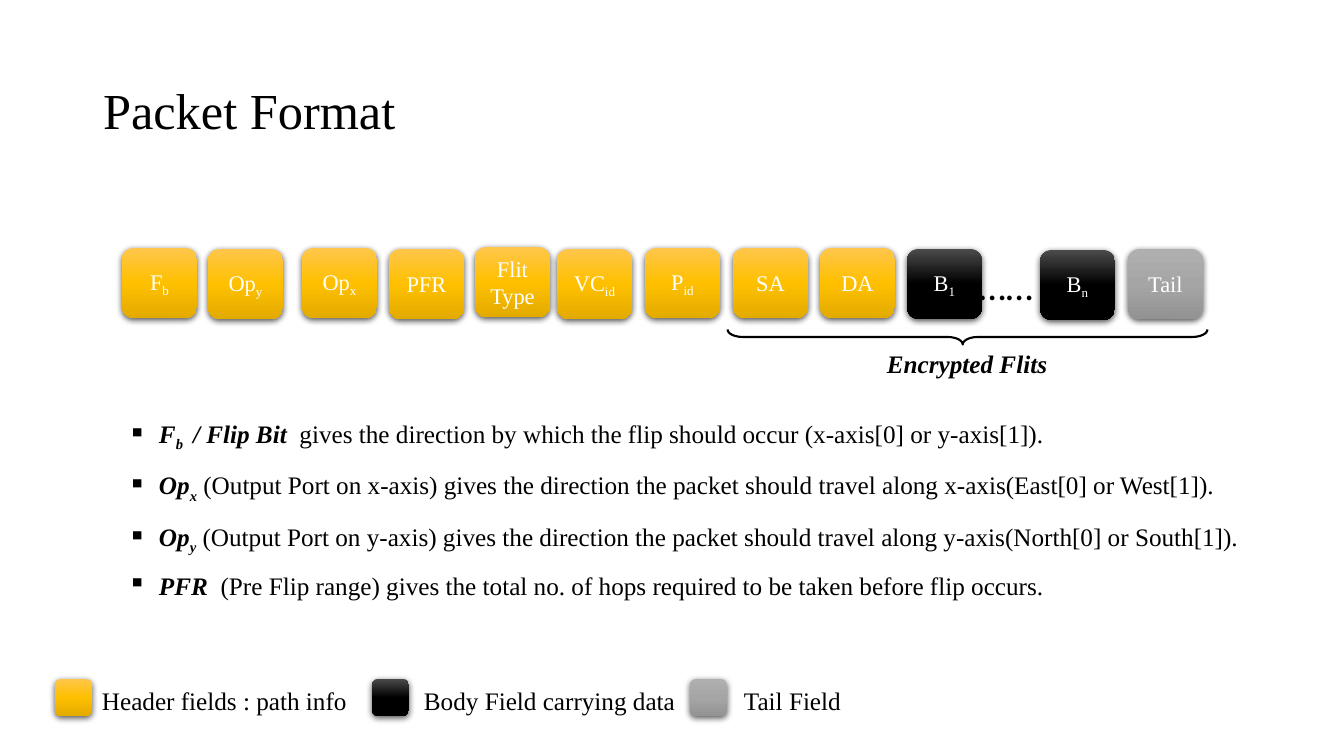
from lxml import etree
from pptx import Presentation
from pptx.dml.color import RGBColor
from pptx.enum.shapes import MSO_SHAPE as Shape
from pptx.enum.text import MSO_ANCHOR as Anchor, PP_ALIGN as Align
from pptx.oxml import parse_xml
from pptx.oxml.ns import qn
from pptx.util import Pt

# Content
TITLE = "Packet Format"
SERIF, SANS = "Times New Roman", "Calibri"
BLACK, WHITE = "000000", "FFFFFF"
GRADIENTS = {
    "header": ("FFC64B", "FFC000", "E3AB00"),
    "body": ("4B4B4B", "000000", "000000"),
    "tail": ("AFAFAF", "A5A5A5", "939393"),
}
FLIT_SIZE = (75, 70)
# Role, left, top, name, subscript
FLITS = [
    ("header", 122, 248, "F", "b"),
    ("header", 208, 249, "Op", "y"),
    ("header", 302, 248, "Op", "x"),
    ("header", 389, 249, "PFR", ""),
    ("header", 475, 247, "Flit Type", ""),
    ("header", 557, 249, "VC", "id"),
    ("header", 645, 248, "P", "id"),
    ("header", 733, 248, "SA", ""),
    ("header", 820, 248, "DA", ""),
    ("body", 907, 249, "B", "1"),
    ("body", 1040, 250, "B", "n"),
    ("tail", 1128, 249, "Tail", ""),
]
# Term, subscript, rest of term, explanation
DEFINITIONS = [
    ("F", "b ", " / Flip Bit ",
     " gives the direction by which the flip should occur (x-axis[0] or y-axis[1])."),
    ("Op", "x", "",
     " (Output Port on x-axis) gives the direction the packet should travel along x-axis(East[0] or West[1])."),
    ("Op", "y", "",
     " (Output Port on y-axis) gives the direction the packet should travel along y-axis(North[0] or South[1])."),
    ("PFR  ", "", "",
     "(Pre Flip range) gives the total no. of hops required to be taken before flip occurs."),
]
# Role, swatch left, label left, label
LEGEND = [
    ("header", 55, 102, "Header fields : path info"),
    ("body", 372, 424, "Body Field carrying data"),
    ("tail", 690, 744, "Tail Field"),
]

SCALE = 914400 / 100.8
A_NS = 'xmlns:a="http://schemas.openxmlformats.org/drawingml/2006/main"'


def px(*lengths):
    return [round(length * SCALE) for length in lengths]


def color(value):
    return RGBColor.from_string(value)


def write(paragraph, pieces, size, ink=BLACK, font=SERIF):
    """Each piece is (text, emphasised, subscript)."""
    for text, emphasised, subscript in pieces:
        if not text:
            continue
        run = paragraph.add_run()
        run.text = text
        run.font.name, run.font.size = font, Pt(size)
        run.font.color.rgb = color(ink)
        if emphasised:
            run.font.bold = run.font.italic = True
        if subscript:
            run.font._element.set("baseline", "-25000")


def add_label(slide, left, top, width, height):
    frame = slide.shapes.add_textbox(*px(left, top, width, height)).text_frame
    frame.margin_left = frame.margin_right = frame.margin_top = frame.margin_bottom = 0
    frame.word_wrap = True
    return frame


def add_block(slide, role, left, top, width, height):
    block = slide.shapes.add_shape(Shape.ROUNDED_RECTANGLE, *px(left, top, width, height))
    block.line.fill.background()
    block.shadow.inherit = False
    stops = "".join(
        f'<a:gs pos="{50000 * i}"><a:srgbClr val="{shade}"/></a:gs>'
        for i, shade in enumerate(GRADIENTS[role]))
    properties = block._element.spPr
    properties.insert(2, parse_xml(
        f'<a:gradFill {A_NS} rotWithShape="1"><a:gsLst>{stops}</a:gsLst>'
        '<a:lin ang="5400000" scaled="0"/></a:gradFill>'))
    properties.find(qn("a:effectLst")).append(parse_xml(
        f'<a:outerShdw {A_NS} blurRad="{Pt(4.5)}" dist="{Pt(1.5)}" dir="5400000" '
        'algn="ctr" rotWithShape="0"><a:srgbClr val="000000">'
        '<a:alpha val="63000"/></a:srgbClr></a:outerShdw>'))
    return block


def add_bullet(paragraph, symbol, indent):
    properties = paragraph._p.get_or_add_pPr()
    properties.set("marL", str(indent))
    properties.set("indent", str(-indent))
    etree.SubElement(properties, qn("a:buChar")).set("char", symbol)


def main():
    deck = Presentation()
    deck.slide_width, deck.slide_height = px(1344, 756)
    slide = deck.slides.add_slide(deck.slide_layouts[5])

    # Title
    title = slide.shapes.title
    title.left, title.top, title.width, title.height = px(93, 40, 1159, 146)
    title.text_frame.vertical_anchor = Anchor.MIDDLE
    heading = title.text_frame.paragraphs[0]
    heading.alignment, heading.line_spacing = Align.LEFT, 0.9
    write(heading, [(TITLE, False, False)], 36)

    # Packet row
    for role, left, top, name, subscript in FLITS:
        frame = add_block(slide, role, left, top, *FLIT_SIZE).text_frame
        frame.word_wrap, frame.vertical_anchor = True, Anchor.MIDDLE
        frame.paragraphs[0].alignment = Align.CENTER
        write(frame.paragraphs[0], [(name, False, False), (subscript, False, True)], 16, WHITE)
    dots = add_label(slide, 979, 261, 60, 48)
    write(dots.paragraphs[0], [("……", False, False)], 28, font=SANS)

    # Brace under the encrypted flits
    brace = slide.shapes.add_shape(Shape.RIGHT_BRACE, *px(960, 97, 15, 480))
    brace.rotation = 90
    brace.adjustments[0], brace.adjustments[1] = 1.01, 0.51
    brace.fill.background()
    brace.line.color.rgb, brace.line.width = color(BLACK), Pt(1.5)
    brace.shadow.inherit = False
    encrypted = add_label(slide, 887, 348, 170, 30)
    write(encrypted.paragraphs[0], [("Encrypted Flits", True, False)], 18)

    # Definitions
    definitions = add_label(slide, 128, 401, 1134, 178)
    for i, (term, subscript, rest, explanation) in enumerate(DEFINITIONS):
        paragraph = definitions.add_paragraph() if i else definitions.paragraphs[0]
        paragraph.alignment, paragraph.line_spacing = Align.JUSTIFY, 1.5
        add_bullet(paragraph, "▪", px(31)[0])
        write(paragraph, [(term, True, False), (subscript, True, True),
                          (rest, True, False), (explanation, False, False)], 18)

    # Legend
    for role, swatch_left, label_left, text in LEGEND:
        add_block(slide, role, swatch_left, 679, 37, 37)
        label = add_label(slide, label_left, 685, 260, 30)
        write(label.paragraphs[0], [(text, False, False)], 18)

    deck.save("out.pptx")


if __name__ == "__main__":
    main()
